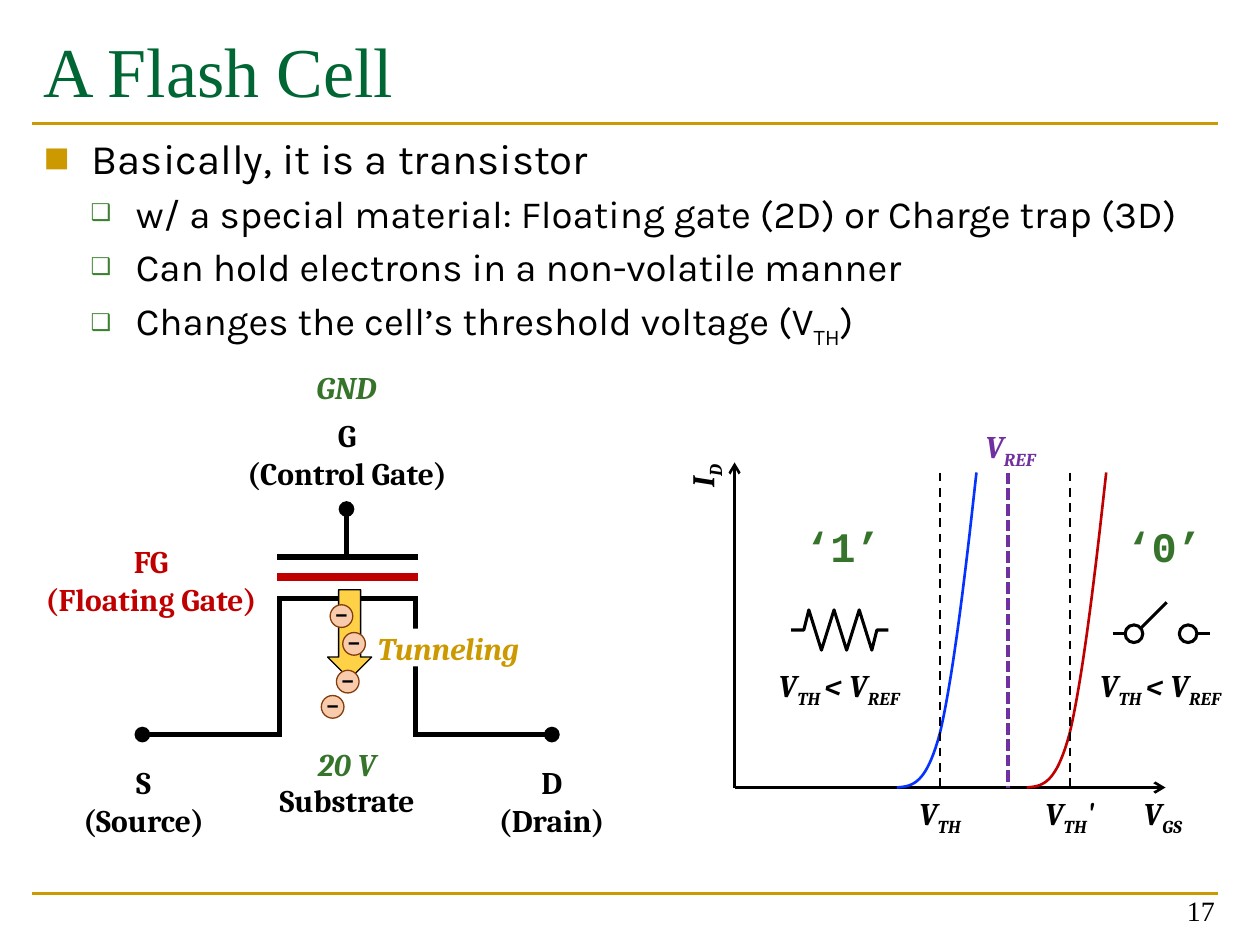
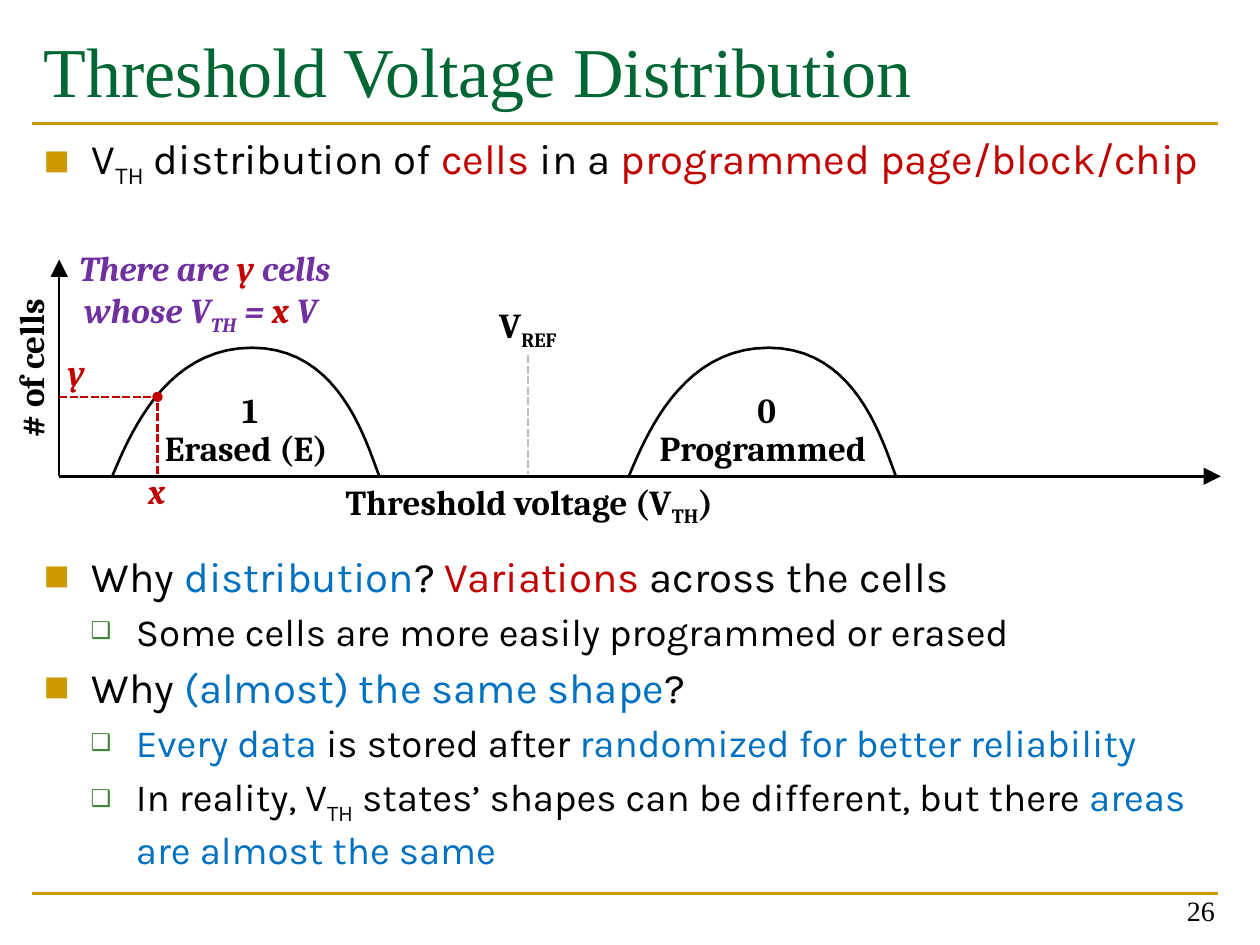
from dataclasses import dataclass

from lxml import etree
from pptx import Presentation
from pptx.dml.color import RGBColor
from pptx.enum.dml import MSO_LINE
from pptx.enum.shapes import MSO_CONNECTOR, MSO_SHAPE
from pptx.enum.text import MSO_ANCHOR, MSO_AUTO_SIZE, PP_ALIGN
from pptx.oxml.ns import qn
from pptx.util import Inches, Pt

STRAIGHT = MSO_CONNECTOR.STRAIGHT
OVAL, DOWN_ARROW = MSO_SHAPE.OVAL, MSO_SHAPE.DOWN_ARROW
DASH, SHORT_DASH = MSO_LINE.DASH, MSO_LINE.SQUARE_DOT
TOP, MIDDLE, BOTTOM = MSO_ANCHOR.TOP, MSO_ANCHOR.MIDDLE, MSO_ANCHOR.BOTTOM
LEFT, CENTER, RIGHT = PP_ALIGN.LEFT, PP_ALIGN.CENTER, PP_ALIGN.RIGHT

BLACK, WHITE, GRAY = "000000", "FFFFFF", "BFBFBF"
GOLD, TITLE_GREEN, GREEN = "CC9900", "006633", "35742A"
RED, BLUE, CURVE_BLUE, PURPLE = "C00000", "0070C0", "0432FF", "7030A0"
TITLE_FONT, BODY_FONT, LABEL_FONT, BIT_FONT = (
    "Times New Roman", "Karla", "Cambria", "Courier New")

# Per level: bullet, colour, size %, text size, left indent, hanging indent
LEVELS = [("■", GOLD, 65, 24, 0.38, 0.38),
          ("❑", "3B812F", 60, 22, 0.73, 0.36)]
BULLET_GAP = 4.2


def rgb(hex_colour):
    return RGBColor.from_string(hex_colour)


def sub(text, **font):
    """A subscript run."""
    return text, {"baseline": -25000, **font}


def red(text):
    return text, {"color": RED}


def blue(text):
    return text, {"color": BLUE}


def add_runs(paragraph, runs, **base):
    """Add runs, each a string or a (string, format changes) pair."""
    for item in [runs] if isinstance(runs, str) else runs:
        if item == "\n":
            paragraph.add_line_break()
            continue
        text, changes = (item, {}) if isinstance(item, str) else item
        style = {**base, **changes}
        run = paragraph.add_run()
        run.text = text
        run.font.name = style.get("font", LABEL_FONT)
        run.font.size = Pt(style.get("size", 18))
        run.font.bold = style.get("bold", True)
        run.font.italic = style.get("italic", False)
        run.font.color.rgb = rgb(style.get("color", BLACK))
        if "baseline" in style:
            run._r.get_or_add_rPr().set("baseline", str(style["baseline"]))


def style_line(line, color, width, dash=None):
    line.color.rgb = rgb(color)
    line.width = Pt(width)
    if dash:
        line.dash_style = dash


def bezier(start, *segments, steps=20):
    """Points along a chain of cubic curves."""
    points = [start]
    for c1, c2, end in segments:
        p0 = points[-1]
        for i in range(1, steps + 1):
            t = i / steps
            u = 1 - t
            points.append(tuple(
                u**3 * a + 3 * u * u * t * b + 3 * u * t * t * c + t**3 * d
                for a, b, c, d in zip(p0, c1, c2, end)))
    return points


@dataclass
class Region:
    """An area of a slide; all its lengths count from its left and top."""
    slide: object
    left: float = 0
    top: float = 0

    def point(self, x, y):
        return Inches(self.left + x), Inches(self.top + y)

    def place(self, box):
        x, y, width, height = box
        return *self.point(x, y), Inches(width), Inches(height)

    def text(self, paragraphs, box, align=CENTER, anchor=MIDDLE, wrap=False,
             grow=True, inset=0.05, rotation=0, fill=None, **font):
        label = self.slide.shapes.add_textbox(*self.place(box))
        label.rotation = rotation
        if fill:
            label.fill.solid()
            label.fill.fore_color.rgb = rgb(fill)
        frame = label.text_frame
        frame.word_wrap = wrap
        frame.vertical_anchor = anchor
        frame.margin_top = frame.margin_bottom = Inches(inset)
        frame.margin_left = frame.margin_right = Inches(0.1 if wrap else 0)
        frame.auto_size = (MSO_AUTO_SIZE.SHAPE_TO_FIT_TEXT if grow
                           else MSO_AUTO_SIZE.NONE)
        for i, runs in enumerate(paragraphs):
            paragraph = frame.add_paragraph() if i else frame.paragraphs[0]
            paragraph.alignment = align
            add_runs(paragraph, runs, **font)
        return frame

    def line(self, start, end, color=BLACK, width=1.5, dash=None, tip=None):
        connector = self.slide.shapes.add_connector(
            STRAIGHT, *self.point(*start), *self.point(*end))
        style_line(connector.line, color, width, dash)
        properties = connector._element.spPr
        if tip:
            size = "lg" if tip == "triangle" else "med"
            etree.SubElement(properties.find(qn("a:ln")), qn("a:tailEnd"),
                             type=tip, w=size, len=size)
        etree.SubElement(properties, qn("a:effectLst"))

    def outline(self, points, color=BLACK, width=1.5):
        first, *rest = [self.point(*p) for p in points]
        builder = self.slide.shapes.build_freeform(*first, scale=1.0)
        builder.add_line_segments(rest, close=False)
        outline = builder.convert_to_shape()
        outline.fill.background()
        outline.shadow.inherit = False
        style_line(outline.line, color, width)

    def shape(self, kind, box, fill, line=BLACK, width=0.75):
        shape = self.slide.shapes.add_shape(kind, *self.place(box))
        shape.shadow.inherit = False
        shape.fill.solid()
        shape.fill.fore_color.rgb = rgb(fill)
        style_line(shape.line, line, width)


def add_bullets(slide, items, box):
    """Bulleted list of (level, runs) items."""
    frame = Region(slide).text([[]] * len(items), box, LEFT, TOP, wrap=True, grow=False)
    for i, (paragraph, (level, runs)) in enumerate(zip(frame.paragraphs, items)):
        mark, color, percent, size, indent, hanging = LEVELS[level]
        properties = paragraph._p.get_or_add_pPr()
        properties.set("marL", str(Inches(indent)))
        properties.set("indent", str(-Inches(hanging)))
        bullet_color = etree.SubElement(properties, qn("a:buClr"))
        etree.SubElement(bullet_color, qn("a:srgbClr"), val=color)
        etree.SubElement(properties, qn("a:buSzPct"), val=str(percent * 1000))
        etree.SubElement(properties, qn("a:buFont"), typeface=BODY_FONT)
        etree.SubElement(properties, qn("a:buChar"), char=mark)
        paragraph.level = level
        paragraph.space_before = Pt(BULLET_GAP if i else 0)
        add_runs(paragraph, runs, font=BODY_FONT, size=size, bold=False)


def new_slide(deck, title, number):
    """Blank slide with the shared rules, title and page number."""
    slide = deck.slides.add_slide(deck.slide_layouts[6])
    page = Region(slide)
    for y in (0.98, 7.09):
        page.line((0.25, y), (9.67, y), GOLD)
    page.text([title], (0.25, 0.17, 9.42, 1.17), LEFT, TOP, wrap=True, grow=False,
              font=TITLE_FONT, size=40, bold=False, color=TITLE_GREEN)
    page.text([number], (7.41, 6.91, 2.33, 0.5), RIGHT, BOTTOM, wrap=True, grow=False,
              font=TITLE_FONT, size=16, bold=False)
    return slide


def draw_transistor(slide, left, top):
    cell = Region(slide, left, top)
    source, channel_left, gate, channel_right, drain = 0.93, 2.02, 2.55, 3.1, 4.18
    control_y, floating_y, oxide_y, base_y = 1.62, 1.78, 1.95, 3.03

    # Channel, terminals and gates
    for terminal, edge in ((source, channel_left), (drain, channel_right)):
        cell.line((edge, base_y), (terminal, base_y), width=3, tip="oval")
        cell.line((edge, base_y + 0.02), (edge, oxide_y), width=3)
    for y, color, width in ((oxide_y, BLACK, 3), (control_y, BLACK, 3),
                            (floating_y, RED, 4.5)):
        cell.line((channel_left - 0.02, y), (channel_right + 0.02, y), color, width)
    cell.line((gate, control_y), (gate, 1.24), width=3, tip="oval")

    # Terminal names
    cell.text(["S", "(Source)"], (0.34, 3.2, 1.2, 0.71))
    cell.text(["D", "(Drain)"], (3.65, 3.2, 1.06, 0.71))
    cell.text(["Substrate"], (1.9, 3.35, 1.31, 0.4))
    cell.text(["G", "(Control Gate)"], (1.63, 0.45, 1.85, 0.71))
    cell.text(["FG", "(Floating Gate)"], (0.03, 1.45, 1.94, 0.71), color=RED)

    # Tunneling electrons and applied voltages
    cell.shape(DOWN_ARROW, (2.4, 1.88, 0.35, 0.71), "FFD147")
    cell.text(["Tunneling"], (2.78, 2.19, 1.16, 0.3), fill=WHITE, grow=False,
              italic=True, color=GOLD)
    cell.text(["GND"], (2.13, 0.07, 0.84, 0.4), italic=True, color=GREEN)
    cell.text(["20 V"], (1.56, 3.06, 1.99, 0.4), italic=True, color=GREEN)
    for x, y in ((2.47, 2.52), (2.42, 2.0), (2.52, 2.22), (2.35, 2.72)):
        cell.shape(OVAL, (x, y, 0.18, 0.18), "F8CBAD", "843C0B")
        cell.text(["–"], (x, y, 0.18, 0.13), size=14, inset=0, grow=False)


def draw_current_plot(slide, left, top):
    plot = Region(slide, left, top)
    floor, reference = 2.5, 2.17

    def symbol(runs, center, y, width=0.8, **style):
        plot.text([runs], (center - width / 2, y, width, 0.4), italic=True, **style)

    # Axes
    plot.line((0, floor), (0, -0.08), tip="arrow")
    plot.line((0, floor), (3.42, floor), tip="arrow")
    symbol(["V", sub("GS")], 3.4, 2.52)
    symbol(["I", sub("D")], -0.24, -0.17, rotation=270)

    # Current curve and threshold of each state
    for t, color, name in ((1.63, CURVE_BLUE, ["V", sub("TH")]),
                           (2.66, RED, ["V", sub("TH"), "'"])):
        plot.outline(bezier(
            (t + 0.29, 0),
            ((t + 0.2, 0.83), (t + 0.1, 1.65), (t, 2.07)),
            ((t - 0.11, 2.48), (t - 0.22, 2.49), (t - 0.34, floor))), color)
        plot.line((t, 0), (t, floor), width=1.25, dash=DASH)
        symbol(name, t, 2.52)

    # Reference voltage
    plot.line((reference, 0), (reference, floor), PURPLE, 2.25, SHORT_DASH)
    symbol(["V", sub("REF")], 2.19, -0.39, color=PURPLE)

    # Bit value and condition of each state
    for bit, center in (("‘1’", 0.85), ("‘0’", 3.4)):
        plot.text([bit], (center - 0.5, 0.33, 1.02, 0.5),
                  font=BIT_FONT, size=24, color=GREEN)
        symbol(["V", sub("TH "), "< V", sub("REF")], center - 0.02, 1.51, width=1.25)

    # Resistor for a conducting cell
    zigzag = [(0.59 + 0.1 * i, 1.41 if i % 2 else 1.09) for i in range(6)]
    plot.outline([(0.45, 1.25), (0.55, 1.25), *zigzag, (1.13, 1.25), (1.22, 1.25)],
                 width=1.75)

    # Open switch for a blocked cell
    for x in (3.1, 3.53):
        plot.shape(OVAL, (x, 1.21, 0.14, 0.14), WHITE, width=1.75)
    for start, end in (((3.23, 1.23), (3.43, 1.03)), ((3, 1.28), (3.1, 1.28)),
                       ((3.67, 1.28), (3.77, 1.28))):
        plot.line(start, end, width=1.75)


def draw_distribution(slide, left, top):
    plot = Region(slide, left, top)
    floor, peak, x, y = 1.72, 0.7, 0.78, 1.09

    # Cell states
    for start, bit, state in ((0.42, "1", "Erased (E)"), (4.52, "0", "Programmed")):
        plot.outline(bezier(
            (start, floor),
            ((start + 0.13, 1.42), (start + 0.41, peak), (start + 1.11, peak)),
            ((start + 1.8, peak), (start + 2.01, 1.43), (start + 2.12, floor))))
        plot.text([bit], (start + 0.37, 0.97, 1.45, 0.44), size=20)
        plot.text([state], (start, 1.27, 2.13, 0.44), size=20)

    # Axes and reference voltage
    plot.line((0, floor), (0, 0), tip="triangle")
    plot.line((0, floor), (9.22, floor), tip="triangle")
    plot.text(["# of cells"], (-0.98, 0.69, 1.5, 0.34), rotation=270, inset=0, size=20)
    plot.text([["Threshold voltage (V", sub("TH"), ")"]],
              (1.27, 1.77, 4.92, 0.34), inset=0, size=20)
    plot.line((3.72, 0.76), (3.72, 1.7), GRAY, dash=SHORT_DASH)
    plot.text([["V", sub("REF")]], (3.32, 0.37, 0.8, 0.34), inset=0, size=20)

    # Example point
    plot.line((0, y), (x, y), RED, dash=SHORT_DASH, tip="oval")
    plot.line((x, 1.7), (x, y), RED, dash=SHORT_DASH)
    example = {"size": 20, "italic": True}
    plot.text(["y"], (-0.59, 0.67, 1.45, 0.44), color=RED, **example)
    plot.text(["x"], (0.05, 1.61, 1.45, 0.44), color=RED, **example)
    plot.text([["There are ", red("y"), " cells", "\n", "whose V", sub("TH"), " = ",
                red("x"), " V "]], (-0.55, -0.13, 3.41, 0.77), color=PURPLE, **example)


def flash_cell_slide(deck):
    slide = new_slide(deck, "A Flash Cell", "17")
    add_bullets(slide, [
        (0, "Basically, it is a transistor"),
        (1, "w/ a special material: Floating gate (2D) or Charge trap (3D)"),
        (1, "Can hold electrons in a non-volatile manner"),
        (1, ["Changes the cell’s threshold voltage (V", sub("TH"), ")"]),
    ], (0.25, 1, 9.42, 1.85))
    draw_transistor(slide, 0.2, 2.8)
    draw_current_plot(slide, 5.83, 3.75)


def distribution_slide(deck):
    slide = new_slide(deck, "Threshold Voltage Distribution", "26")
    add_bullets(slide, [
        (0, ["V", sub("TH"), " distribution of ", red("cells"), " in a ",
             red("programmed page/block/chip")]),
    ], (0.25, 1, 9.42, 0.6))
    draw_distribution(slide, 0.47, 2.06)
    add_bullets(slide, [
        (0, ["Why ", blue("distribution"), "? ", red("Variations "), "across the cells"]),
        (1, "Some cells are more easily programmed or erased"),
        (0, ["Why ", blue("(almost) the same shape"), "?"]),
        (1, [blue("Every data "), "is stored after ",
             blue("randomized for better reliability")]),
        (1, ["In reality, V", sub("TH"), " states’ shapes can be different, but there ",
             blue("areas are almost the same")]),
    ], (0.25, 4.32, 9.42, 2.7))


def main():
    deck = Presentation()
    deck.slide_width, deck.slide_height = Inches(10), Inches(7.5)
    flash_cell_slide(deck)
    distribution_slide(deck)
    deck.save("out.pptx")


if __name__ == "__main__":
    main()
